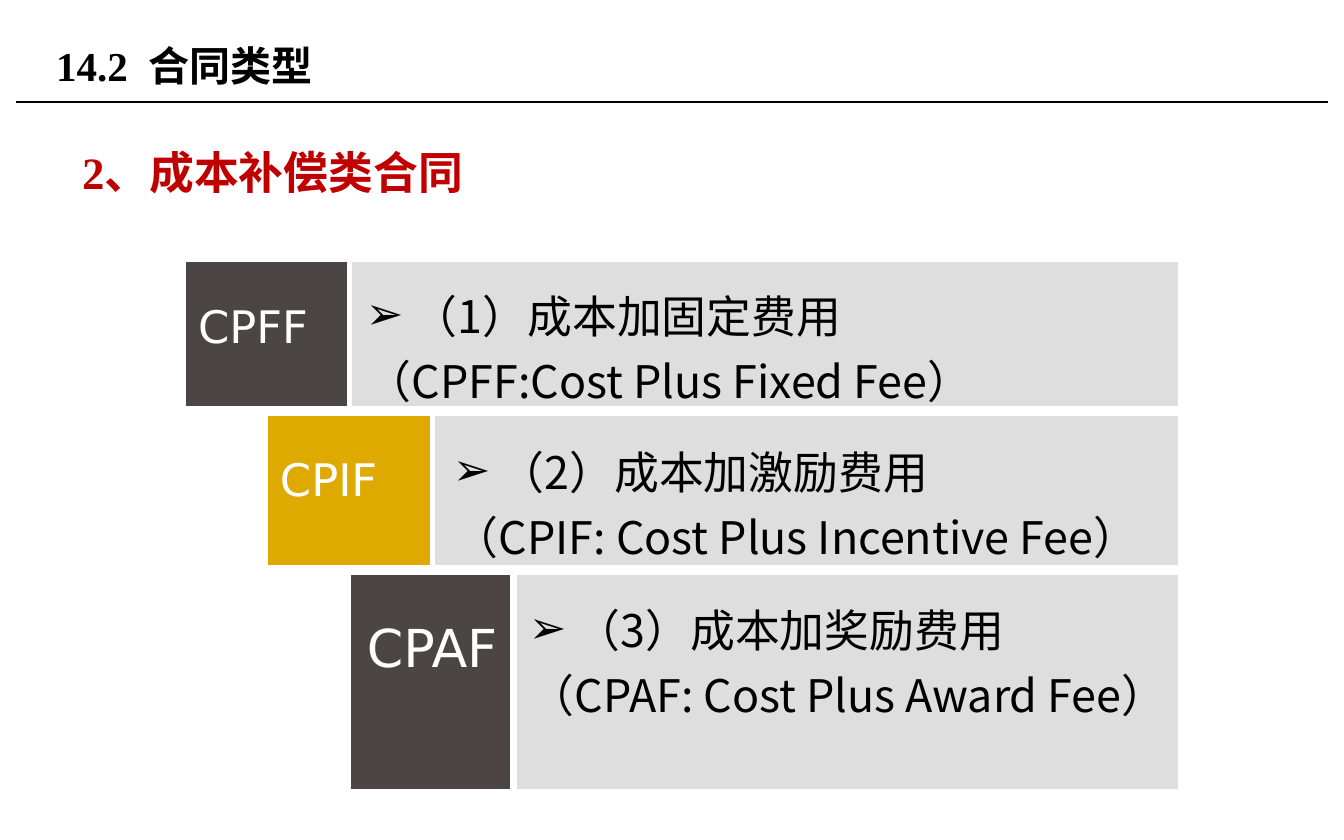
from dataclasses import dataclass

from lxml import etree
from pptx import Presentation
from pptx.dml.color import RGBColor
from pptx.enum.shapes import MSO_CONNECTOR
from pptx.enum.text import MSO_ANCHOR
from pptx.oxml.ns import qn
from pptx.util import Pt

STRAIGHT = MSO_CONNECTOR.STRAIGHT
MIDDLE = MSO_ANCHOR.MIDDLE
TOP = MSO_ANCHOR.TOP
PX = 6804
COLUMNS = [82, 83, 83, 81, 665]
ROWS = [150, 159, 220]
HANGING = 47


@dataclass(frozen=True)
class Theme:
    """Colours, fonts and type sizes of the slide."""
    black: str = "000000"
    white: str = "FFFFFF"
    red: str = "C00000"
    dark: str = "4B4545"
    gold: str = "DEA900"
    grey: str = "DEDEDE"
    heading_font: str = "Times New Roman"
    chinese_font: str = "Noto Sans CJK SC"
    label_font: str = "DejaVu Sans"
    body_font: str = "Noto Sans CJK JP"
    title_size: int = 22
    body_size: int = 24
    large_size: int = 28


@dataclass(frozen=True)
class Contract:
    """One contract type with its label and description."""
    label: str
    lines: tuple
    fill: str
    label_size: int
    label_inset: tuple
    body_top: int
    text_left: int
    second_left: int
    gap: float


THEME = Theme()
CONTRACTS = [
    Contract("CPFF", ("（1）成本加固定费用", "（CPFF:Cost Plus Fixed Fee）"),
             THEME.dark, THEME.body_size, (13, 41), 21, 63, 17, 3),
    Contract("CPIF", ("（2）成本加激励费用", "（CPIF: Cost Plus Incentive Fee）"),
             THEME.gold, THEME.body_size, (13, 44), 27, 67, 21, 3),
    Contract("CPAF", ("（3）成本加奖励费用", "（CPAF: Cost Plus Award Fee）"),
             THEME.dark, THEME.large_size, (17, 49), 26, 62, 16, 4.25),
]


def style_para(para, font, east_font, size, color, bold=False):
    """Format every run of a paragraph."""
    for span in para.runs:
        span.font.name = font
        span.font.size = Pt(size)
        span.font.bold = bold
        span.font.color.rgb = RGBColor.from_string(color)
        east = etree.SubElement(span.font._element, qn("a:ea"))
        east.set("typeface", east_font)


def indent_para(para, left, hanging=0, bullet=None):
    """Set the left margin, the hanging indent and an optional bullet."""
    properties = para._p.get_or_add_pPr()
    properties.set("marL", str(left * PX))
    properties.set("indent", str(-hanging * PX))
    if bullet:
        etree.SubElement(properties, qn("a:buFont")).set("typeface", THEME.label_font)
        etree.SubElement(properties, qn("a:buChar")).set("char", bullet)


def add_heading(page, text, bounds, size, color, anchor=TOP, spacing=1.0):
    """Add a bold heading in a wrapped text box."""
    box = page.shapes.add_textbox(*(value * PX for value in bounds))
    frame = box.text_frame
    frame.word_wrap = True
    frame.vertical_anchor = anchor
    frame.text = text
    para = frame.paragraphs[0]
    para.line_spacing = spacing
    style_para(para, THEME.heading_font, THEME.chinese_font, size, color, True)


def add_rule(page, left, right, top):
    """Add the thin horizontal line under the title."""
    rule = page.shapes.add_connector(STRAIGHT, left * PX, top * PX, right * PX, top * PX)
    rule.line.color.rgb = RGBColor.from_string(THEME.black)
    rule.line.width = Pt(0.75)
    etree.SubElement(rule._element.spPr, qn("a:effectLst"))


def set_borders(cell, widths):
    """Give a cell white borders, keyed by side letter."""
    properties = cell._tc.get_or_add_tcPr()
    sides = [side for side in "LRTB" if side in widths]
    for position, side in enumerate(sides):
        line = etree.Element(qn("a:ln" + side), w=str(Pt(widths[side])))
        fill = etree.SubElement(line, qn("a:solidFill"))
        etree.SubElement(fill, qn("a:srgbClr")).set("val", THEME.white)
        properties.insert(position, line)


def fill_cell(cell, text, color, top):
    """Set the text, fill and margins of a cell."""
    cell.text_frame.text = text
    cell.fill.solid()
    cell.fill.fore_color.rgb = RGBColor.from_string(color)
    cell.margin_left = cell.margin_right = cell.margin_bottom = 0
    cell.margin_top = top * PX


def fill_row(table, index, contract):
    """Fill one step of the staircase of contract types."""
    last_row, last_column = len(ROWS) - 1, len(COLUMNS) - 1
    label, body = table.cell(index, index), table.cell(index, index + 2)
    edges = {}
    if index > 0:
        edges["T"] = 6
    if index < last_row:
        edges["B"] = 6
    for column in range(len(COLUMNS)):
        cell = table.cell(index, column)
        cell.fill.background()
        sides = {index: {"R": contract.gap}, index + 2: {"L": contract.gap}}
        set_borders(cell, {**edges, **sides.get(column, {})})
    label.merge(table.cell(index, index + 1))
    if index + 2 < last_column:
        body.merge(table.cell(index, last_column))
    if index > 1:
        table.cell(index, 0).merge(table.cell(index, index - 1))

    left, top = contract.label_inset
    fill_cell(label, contract.label, contract.fill, top)
    para = label.text_frame.paragraphs[0]
    indent_para(para, left)
    style_para(para, THEME.label_font, THEME.label_font, contract.label_size, THEME.white)

    fill_cell(body, "\n".join(contract.lines), THEME.grey, contract.body_top)
    first, second = body.text_frame.paragraphs
    indent_para(first, contract.text_left, HANGING, "➢")
    indent_para(second, contract.second_left)
    for para in (first, second):
        style_para(para, THEME.body_font, THEME.body_font, THEME.body_size, THEME.black)


def add_contract_table(page, left, top):
    """Add the table of contract types."""
    frame = page.shapes.add_table(len(ROWS), len(COLUMNS), left * PX, top * PX,
                                  sum(COLUMNS) * PX, sum(ROWS) * PX)
    table = frame.table
    table.first_row = table.horz_banding = False
    for column, width in zip(table.columns, COLUMNS):
        column.width = width * PX
    for row, height in zip(table.rows, ROWS):
        row.height = height * PX
    for index, contract in enumerate(CONTRACTS):
        fill_row(table, index, contract)


def main():
    """Build the slide and save it."""
    deck = Presentation()
    deck.slide_width, deck.slide_height = 1344 * PX, 840 * PX
    page = deck.slides.add_slide(deck.slide_layouts[6])
    add_rule(page, 16, 1328, 102)
    add_heading(page, "14.2  合同类型", (43, 18, 857, 95),
                THEME.title_size, THEME.black, MIDDLE)
    add_heading(page, "2、成本补偿类合同", (69, 111, 1207, 524),
                THEME.body_size, THEME.red, spacing=1.5)
    add_contract_table(page, 185, 261)
    deck.save("out.pptx")


if __name__ == "__main__":
    main()
